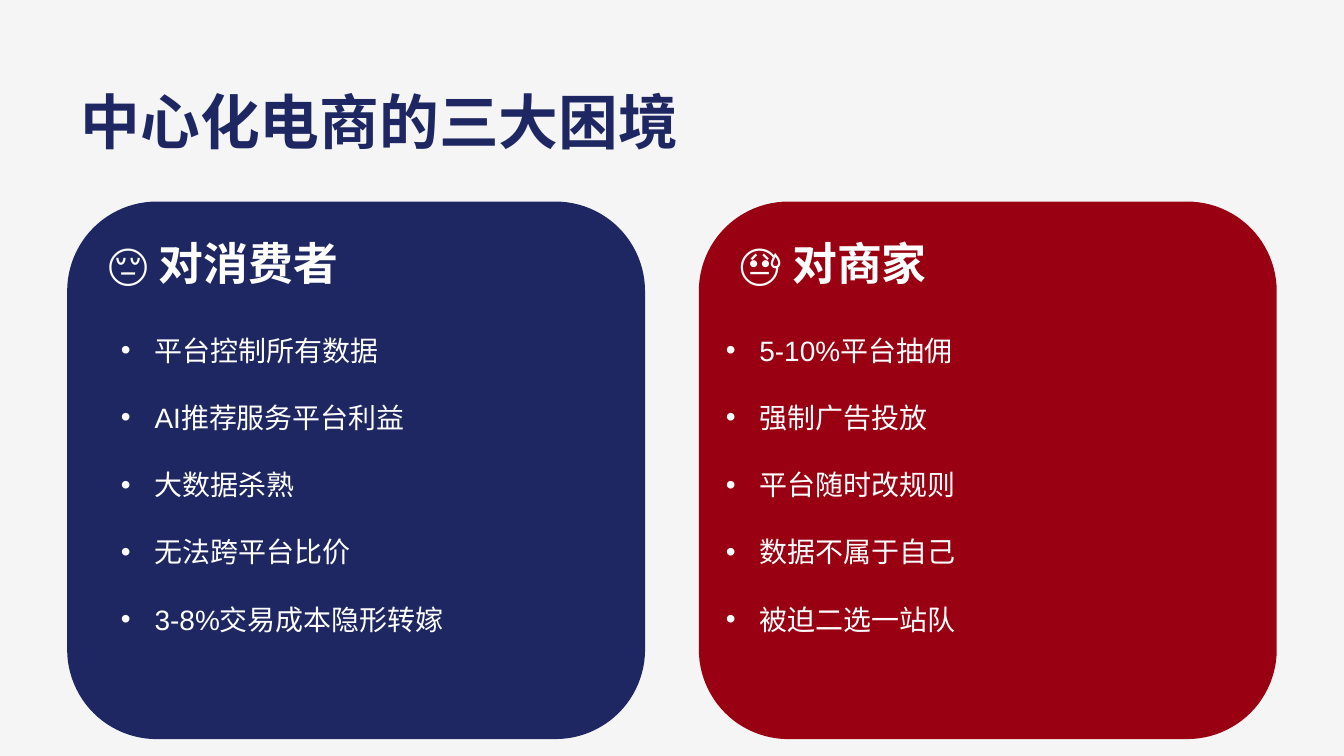
import pptx
import pptx.util
import pptx.dml.color
import pptx.enum.shapes
import pptx.enum.text

Inches = pptx.util.Inches
Pt = pptx.util.Pt
RGBColor = pptx.dml.color.RGBColor

NAVY = RGBColor(0x1E, 0x27, 0x61)
CRIMSON = RGBColor(0x99, 0x00, 0x11)
WHITE = RGBColor(0xFF, 0xFF, 0xFF)
PALE = RGBColor(0xF5, 0xF5, 0xF5)

CONSUMER_ISSUES = ["平台控制所有数据", "AI推荐服务平台利益", "大数据杀熟", "无法跨平台比价", "3-8%交易成本隐形转嫁"]
MERCHANT_ISSUES = ["5-10%平台抽佣", "强制广告投放", "平台随时改规则", "数据不属于自己", "被迫二选一站队"]


def place(holder, left, top, width, height):
    """Move a placeholder and fix its text frame behaviour."""
    holder.left, holder.top = Inches(left), Inches(top)
    holder.width, holder.height = Inches(width), Inches(height)
    frame = holder.text_frame
    frame.word_wrap = True
    frame.auto_size = pptx.enum.text.MSO_AUTO_SIZE.NONE
    frame.vertical_anchor = pptx.enum.text.MSO_ANCHOR.MIDDLE


def style(paragraph, font_name, size, color, bold):
    """Set the font and alignment of a paragraph."""
    paragraph.alignment = pptx.enum.text.PP_ALIGN.LEFT
    paragraph.space_before = Pt(0)
    font = paragraph.font
    font.name, font.size, font.bold = font_name, Pt(size), bold
    font.color.rgb = color


def write_heading(holder, text, size, color, box):
    """Fill a placeholder with one bold heading line."""
    place(holder, *box)
    holder.text_frame.text = text
    style(holder.text_frame.paragraphs[0], "Montserrat", size, color, True)


def write_list(holder, issues, box):
    """Fill a body placeholder with evenly spaced bulleted lines."""
    place(holder, *box)
    holder.text_frame.text = "\n".join(issues)
    for paragraph in holder.text_frame.paragraphs:
        style(paragraph, "Arial", 15, WHITE, False)
        paragraph.line_spacing = Pt(36)
        properties = paragraph._p.get_or_add_pPr()
        properties.set("marL", str(Inches(0.25)))
        properties.set("indent", str(-Inches(0.25)))


def add_card(slide, left, color):
    """Draw a rounded card behind the text of one column."""
    card = slide.shapes.add_shape(
        pptx.enum.shapes.MSO_SHAPE.ROUNDED_RECTANGLE,
        Inches(left), Inches(1.5), Inches(4.3), Inches(4))
    card.shadow.inherit = False
    card.fill.solid()
    card.fill.fore_color.rgb = color
    card.line.fill.background()
    slide.shapes._spTree.insert(2, card._element)


def main():
    """Build the slide and save it."""
    deck = pptx.Presentation()
    deck.slide_width, deck.slide_height = Inches(10), Inches(10 * 9 / 16)
    slide = deck.slides.add_slide(deck.slide_layouts.get_by_name("Comparison"))
    slide.background.fill.solid()
    slide.background.fill.fore_color.rgb = PALE

    title, *columns = slide.placeholders
    write_heading(title, "中心化电商的三大困境", 32, NAVY, (0.5, 0.5, 9, 0.8))

    sides = [
        (0.5, 0.8, NAVY, "😔 对消费者", CONSUMER_ISSUES),
        (5.2, 5.3, CRIMSON, "😓 对商家", MERCHANT_ISSUES),
    ]
    for heading, body, side in zip(columns[::2], columns[1::2], sides):
        card_left, list_left, color, audience, issues = side
        add_card(slide, card_left, color)
        write_heading(heading, audience, 24, WHITE, (card_left + 0.2, 1.7, 4, 0.5))
        write_list(body, issues, (list_left, 2.18, 3.8, 2.6))

    deck.save("out.pptx")


if __name__ == "__main__":
    main()
